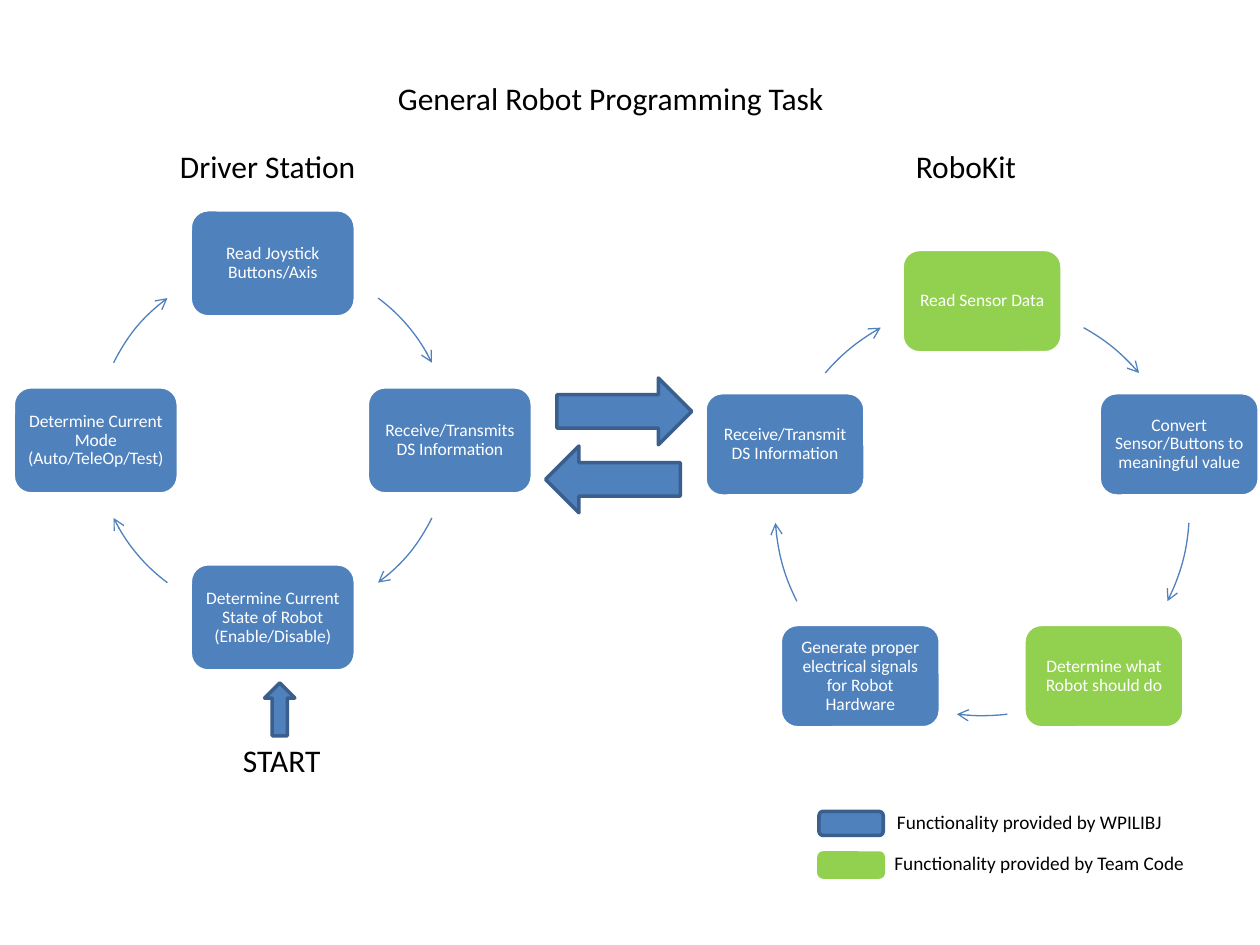
from dataclasses import dataclass
from math import cos, radians, sin

from lxml.etree import SubElement
from pptx import Presentation
from pptx.dml.color import RGBColor
from pptx.enum.shapes import MSO_SHAPE
from pptx.enum.text import MSO_ANCHOR, PP_ALIGN
from pptx.oxml.ns import qn
from pptx.util import Inches, Pt

BLUE = RGBColor(0x4F, 0x81, 0xBD)
DARK_BLUE = RGBColor(0x3A, 0x5F, 0x8C)
GREEN = RGBColor(0x92, 0xD0, 0x50)
WHITE = RGBColor(0xFF, 0xFF, 0xFF)
BLACK = RGBColor(0x00, 0x00, 0x00)

STEP_FRAME = {
    "word_wrap": True,
    "vertical_anchor": MSO_ANCHOR.MIDDLE,
    "margin_left": Inches(0.05),
    "margin_right": Inches(0.05),
    "margin_top": Inches(0.04),
    "margin_bottom": Inches(0.04),
}
STEP_PARAGRAPH = {"alignment": PP_ALIGN.CENTER, "line_spacing": 0.9}
STEP_FONT = {"name": "Calibri", "size": Pt(10)}
ANGLE_UNITS = 60000


@dataclass
class Step:
    text: str
    fill: RGBColor
    arc_start: float
    arc_end: float


@dataclass
class Cycle:
    left: float
    top: float
    diameter: float
    step_width: float
    step_height: float
    steps: list[Step]

    def offset(self, degrees: float) -> tuple[float, float]:
        angle = radians(degrees)
        radius = self.diameter / 2
        return radius * (1 + sin(angle)), radius * (1 - cos(angle))


@dataclass
class Label:
    text: str
    left: float
    top: float
    width: float
    height: float = 0.4
    size: int = 18


@dataclass
class Block:
    preset: MSO_SHAPE
    left: float
    top: float
    width: float
    height: float
    rotation: int = 0
    fill: RGBColor = BLUE
    outline: RGBColor = DARK_BLUE


CYCLES = [
    Cycle(6.15, 2.39, 3.29, 1.27, 0.82, [
        Step("Read Sensor Data", GREEN, 29.3, 49.2),
        Step("Convert Sensor/Buttons to meaningful value", BLUE, 94, 116.6),
        Step("Determine what Robot should do", GREEN, 173, 187),
        Step("Generate proper electrical signals for Robot Hardware",
             BLUE, 243.4, 266),
        Step("Receive/Transmit DS Information", BLUE, 310.8, 330.7),
    ]),
    Cycle(0.76, 2.09, 2.81, 1.31, 0.85, [
        Step("Read Joystick Buttons/Axis", BLUE, 36.5, 64),
        Step("Receive/Transmits DS Information", BLUE, 116, 143.5),
        Step("Determine Current State of Robot (Enable/Disable)",
             BLUE, 216.5, 244),
        Step("Determine Current Mode (Auto/TeleOp/Test)", BLUE, 296, 323.5),
    ]),
]

LABELS = [
    Label("General Robot Programming Task", 3.06, 0.58, 3.62),
    Label("Driver Station", 1.33, 1.12, 1.61),
    Label("RoboKit", 7.17, 1.12, 1.06),
    Label("START", 1.83, 5.83, 0.82),
    Label("Functionality provided by WPILIBJ", 7.02, 6.38, 2.32, 0.29, 11),
    Label("Functionality provided by Team Code", 7, 6.71, 2.53, 0.29, 11),
]

BLOCKS = [
    Block(MSO_SHAPE.DOWN_ARROW, 4.69, 2.73, 0.53, 1.07, 270),
    Block(MSO_SHAPE.DOWN_ARROW, 4.6, 3.27, 0.53, 1.07, 90),
    Block(MSO_SHAPE.DOWN_ARROW, 2.1, 5.42, 0.24, 0.42, 180),
    Block(MSO_SHAPE.ROUNDED_RECTANGLE, 6.5, 6.44, 0.51, 0.19),
    Block(MSO_SHAPE.ROUNDED_RECTANGLE, 6.5, 6.77, 0.51, 0.19, 0, GREEN, GREEN),
]


def apply_format(target, values: dict) -> None:
    for attribute, value in values.items():
        setattr(target, attribute, value)


def draw_block(slide, block: Block):
    shape = slide.shapes.add_shape(
        block.preset, Inches(block.left), Inches(block.top),
        Inches(block.width), Inches(block.height))
    shape.rotation = block.rotation
    shape.shadow.inherit = False
    shape.fill.solid()
    shape.fill.fore_color.rgb = block.fill
    shape.line.color.rgb = block.outline
    shape.line.width = Pt(2)
    return shape


def draw_step(slide, cycle: Cycle, step: Step, degrees: float) -> None:
    x, y = cycle.offset(degrees)
    box = draw_block(slide, Block(
        MSO_SHAPE.ROUNDED_RECTANGLE,
        cycle.left + x - cycle.step_width / 2,
        cycle.top + y - cycle.step_height / 2,
        cycle.step_width, cycle.step_height,
        fill=step.fill, outline=WHITE))
    paragraph = box.text_frame.paragraphs[0]
    run = paragraph.add_run()
    run.text = step.text
    run.font.color.rgb = WHITE
    apply_format(box.text_frame, STEP_FRAME)
    apply_format(paragraph, STEP_PARAGRAPH)
    apply_format(run.font, STEP_FONT)


def draw_arc(slide, cycle: Cycle, step: Step) -> None:
    left, top = Inches(cycle.left), Inches(cycle.top)
    diameter = Inches(cycle.diameter)
    builder = slide.shapes.build_freeform(left, top)
    builder.add_line_segments([(left + diameter, top + diameter)], close=False)
    arc = builder.convert_to_shape()

    outline = next(arc.element.iter(qn("a:path")))
    for segment in list(outline):
        outline.remove(segment)
    x, y = (str(Inches(length)) for length in cycle.offset(step.arc_start))
    SubElement(SubElement(outline, qn("a:moveTo")), qn("a:pt"), x=x, y=y)
    radius = str(diameter // 2)
    start = round((step.arc_start - 90) % 360 * ANGLE_UNITS)
    sweep = round((step.arc_end - step.arc_start) * ANGLE_UNITS)
    SubElement(outline, qn("a:arcTo"), wR=radius, hR=radius,
               stAng=str(start), swAng=str(sweep))

    arc.shadow.inherit = False
    arc.fill.background()
    arc.line.color.rgb = BLUE
    arc.line.width = Pt(0.75)
    SubElement(arc.line._get_or_add_ln(), qn("a:tailEnd"), type="arrow")


def draw_cycle(slide, cycle: Cycle) -> None:
    for index, step in enumerate(cycle.steps):
        draw_step(slide, cycle, step, 360 * index / len(cycle.steps))
        draw_arc(slide, cycle, step)


def draw_label(slide, label: Label) -> None:
    caption = slide.shapes.add_textbox(
        Inches(label.left), Inches(label.top),
        Inches(label.width), Inches(label.height))
    caption.text_frame.word_wrap = False
    run = caption.text_frame.paragraphs[0].add_run()
    run.text = label.text
    run.font.color.rgb = BLACK
    apply_format(run.font, {"name": "Calibri", "size": Pt(label.size)})


def main() -> None:
    presentation = Presentation()
    presentation.slide_width = Inches(10)
    presentation.slide_height = Inches(7.5)
    slide = presentation.slides.add_slide(presentation.slide_layouts[6])
    for cycle in CYCLES:
        draw_cycle(slide, cycle)
    for block in BLOCKS:
        draw_block(slide, block)
    for label in LABELS:
        draw_label(slide, label)
    presentation.save("out.pptx")


if __name__ == "__main__":
    main()
